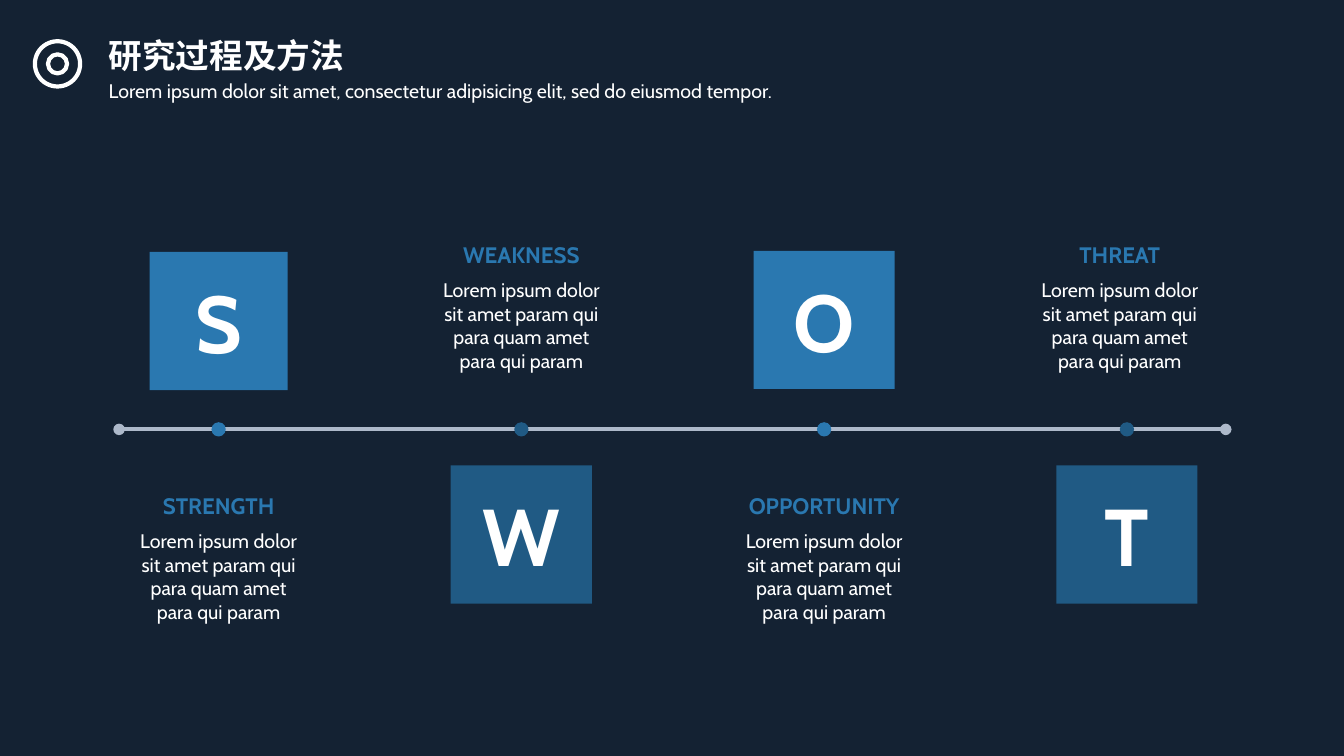
from lxml import etree
from pptx import Presentation
from pptx.dml.color import RGBColor
from pptx.enum.shapes import MSO_CONNECTOR, MSO_SHAPE
from pptx.enum.text import MSO_ANCHOR, MSO_AUTO_SIZE, PP_ALIGN
from pptx.oxml.ns import qn
from pptx.util import Cm, Pt

NAVY = RGBColor(0x14, 0x22, 0x33)
WHITE = RGBColor(0xFF, 0xFF, 0xFF)
BLUE = RGBColor(0x2A, 0x78, 0xB0)
DEEP_BLUE = RGBColor(0x20, 0x5A, 0x84)
GREY = RGBColor(0xAD, 0xB9, 0xCA)

OVAL = MSO_SHAPE.OVAL
RECTANGLE = MSO_SHAPE.RECTANGLE
STRAIGHT = MSO_CONNECTOR.STRAIGHT
TOP, MIDDLE = MSO_ANCHOR.TOP, MSO_ANCHOR.MIDDLE
LEFT, CENTER = PP_ALIGN.LEFT, PP_ALIGN.CENTER
FIT_SHAPE = MSO_AUTO_SIZE.SHAPE_TO_FIT_TEXT

FONT = "Cabin"
AXIS_Y = 10.82
FIRST_CENTER, STEP = 5.51, 7.63
TEXT_WIDTH = 4.72
BODY = "Lorem ipsum dolor sit amet param qui para quam amet para qui param"

# letter, heading, square width, square top, shift of text from the column centre
FACTORS = [
    ("S", "STRENGTH", 3.48, 6.35, 0),
    ("W", "WEAKNESS", 3.56, 11.73, 0),
    ("O", "OPPORTUNITY", 3.56, 6.32, 0),
    ("T", "THREAT", 3.56, 11.73, -0.18),
]


def write(frame, text, size, color, bold=False, align=LEFT, spacing=None):
    para = frame.paragraphs[0]
    para.text = text
    para.alignment = align
    para.line_spacing = spacing
    para.font.name = FONT
    para.font.size = Pt(size)
    para.font.bold = bold
    para.font.color.rgb = color


def add_text(page, left, top, width, height, text, size, color,
             anchor=TOP, **style):
    box = page.shapes.add_textbox(Cm(left), Cm(top), Cm(width), Cm(height))
    frame = box.text_frame
    frame.word_wrap = True
    frame.auto_size = FIT_SHAPE
    frame.vertical_anchor = anchor
    write(frame, text, size, color, **style)


def add_solid(page, kind, center, top, width, height, color):
    shape = page.shapes.add_shape(
        kind, Cm(center - width / 2), Cm(top), Cm(width), Cm(height))
    shape.shadow.inherit = False
    shape.fill.solid()
    shape.fill.fore_color.rgb = color
    shape.line.fill.background()
    return shape


def add_target(page, center_x, center_y, diameters):
    target = page.shapes.add_group_shape()
    for size in diameters:
        ring = target.shapes.add_shape(
            OVAL, Cm(center_x - size / 2), Cm(center_y - size / 2),
            Cm(size), Cm(size))
        ring.shadow.inherit = False
        ring.fill.background()
        ring.line.color.rgb = WHITE
        ring.line.width = Pt(3)


def add_axis(page, start, end):
    axis = page.shapes.add_connector(
        STRAIGHT, Cm(start), Cm(AXIS_Y), Cm(end), Cm(AXIS_Y))
    axis.line.color.rgb = GREY
    axis.line.width = Pt(2.75)
    line = axis.line._get_or_add_ln()
    for tag in ("a:headEnd", "a:tailEnd"):
        etree.SubElement(line, qn(tag), type="oval")
    etree.SubElement(axis._element.spPr, qn("a:effectLst"))


def add_factor(page, center, letter, heading, width, top, shift):
    above = top < AXIS_Y
    color = BLUE if above else DEEP_BLUE
    square = add_solid(page, RECTANGLE, center, top, width, 3.48, color)
    square.text_frame.vertical_anchor = MIDDLE
    write(square.text_frame, letter, 57.5, WHITE, bold=True, align=CENTER)
    add_solid(page, OVAL, center, AXIS_Y - 0.18, 0.36, 0.36, color)

    left = center + shift - TEXT_WIDTH / 2
    heading_top = 12.27 if above else 5.94
    add_text(page, left, heading_top, TEXT_WIDTH, 0.94, heading, 16, BLUE,
             anchor=MIDDLE, bold=True, align=CENTER)
    add_text(page, left, heading_top + 0.94, TEXT_WIDTH, 2.64, BODY, 14, WHITE,
             align=CENTER)


def main():
    deck = Presentation()
    deck.slide_width, deck.slide_height = Cm(33.87), Cm(19.05)
    page = deck.slides.add_slide(deck.slide_layouts[6])
    page.background.fill.solid()
    page.background.fill.fore_color.rgb = NAVY

    add_text(page, 2.49, 1.75, 19.94, 0.91,
             "Lorem ipsum dolor sit amet, consectetur adipisicing elit, "
             "sed do eiusmod tempor.", 14, WHITE, spacing=1.2)
    add_text(page, 2.49, 0.56, 7.37, 1.37, "研究过程及方法", 24, WHITE,
             bold=True, spacing=1.2)
    add_target(page, 1.45, 1.61, (1.14, 0.48))
    add_axis(page, 3, 30.89)
    for index, factor in enumerate(FACTORS):
        add_factor(page, FIRST_CENTER + index * STEP, *factor)

    deck.save("out.pptx")


if __name__ == "__main__":
    main()
